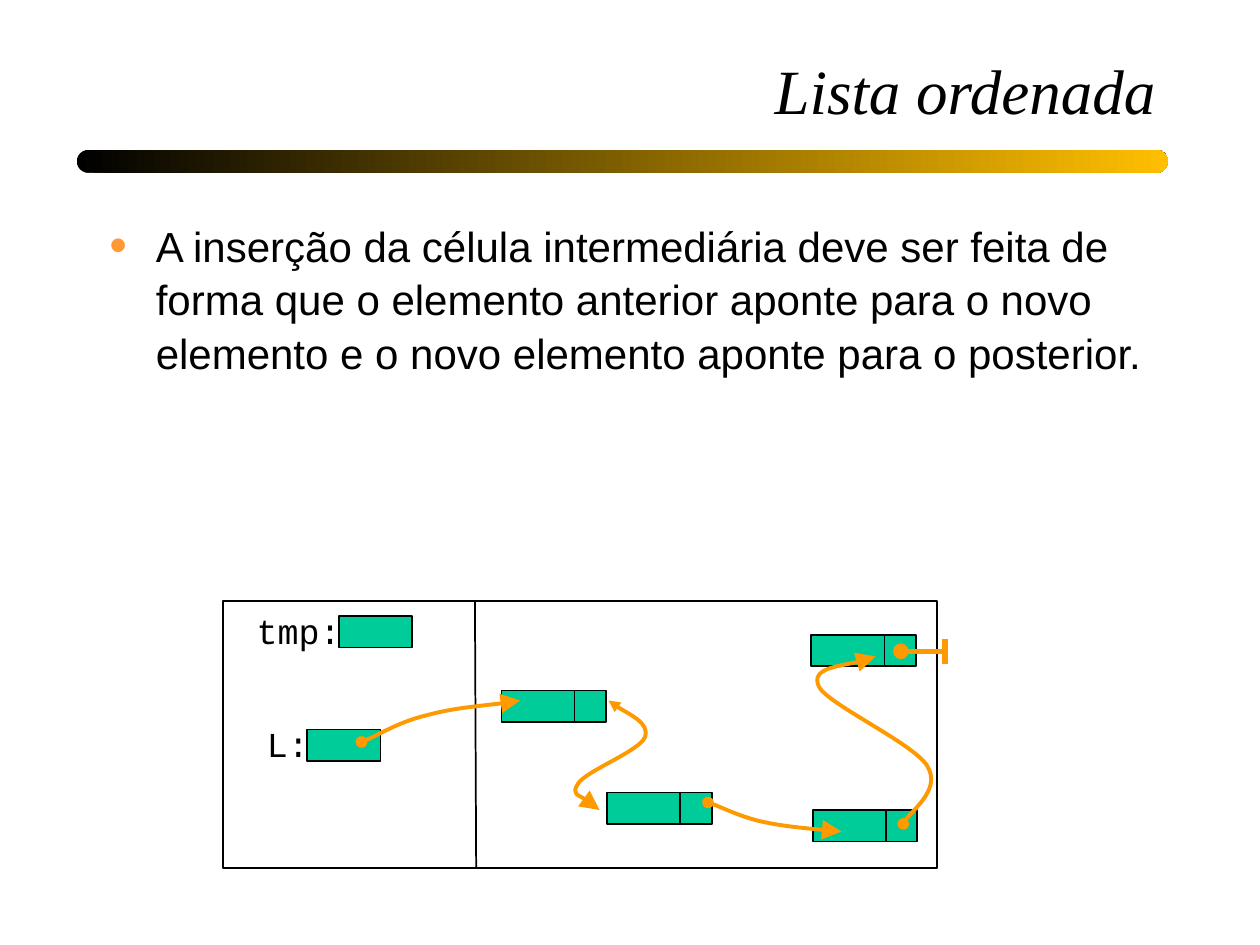
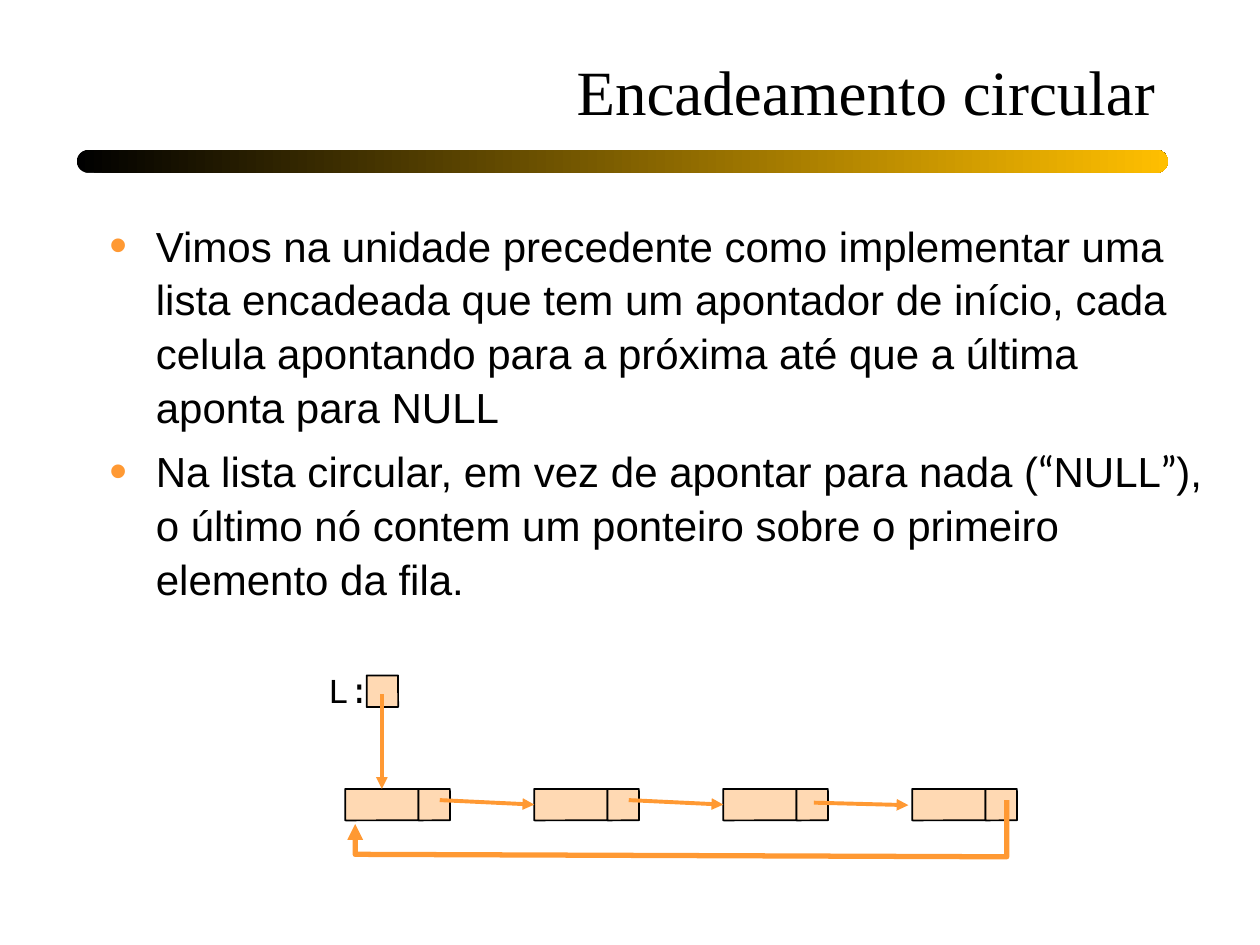
from lxml.etree import SubElement as Sub
from pptx import Presentation
from pptx.dml.color import RGBColor as RGB
from pptx.enum.shapes import MSO_CONNECTOR as Link, MSO_SHAPE as Kind
from pptx.enum.text import MSO_ANCHOR as Anchor, PP_ALIGN as Align
from pptx.oxml.ns import qn
from pptx.util import Pt

BLACK, GOLD, GREEN, PEACH = "000000", "FFBF00", "00CC99", "FFD9B3"
AMBER, ORANGE = "FF9900", "FF9933"
SERIF, SANS, MONO, QUOTE = "Times New Roman", "Arial", "Courier New", "Lato"
DATA, NEXT, TALL = 41.8, 18, 18  # widths of a node's two cells, and its height


def tint(code):
    return RGB.from_string(code)


# Text
def add_text(slide, box, wrap=True, anchor=Anchor.TOP):
    frame = slide.shapes.add_textbox(*map(Pt, box)).text_frame
    frame.word_wrap = wrap
    frame.vertical_anchor = anchor
    return frame


def add_run(para, text, face, size, slant=None):
    run = para.add_run()
    run.text = text
    font = run.font
    font.name, font.size, font.italic = face, Pt(size), slant
    font.color.rgb = tint(BLACK)


def add_bullet(para):
    props = para._p.get_or_add_pPr()
    props.set("marL", str(Pt(26.6)))
    props.set("indent", str(-Pt(26.6)))
    hue = Sub(props, qn("a:buClr"))
    Sub(hue, qn("a:srgbClr"), val=ORANGE)
    Sub(props, qn("a:buSzPct"), val="120000")
    Sub(props, qn("a:buFont"), typeface=SANS)
    Sub(props, qn("a:buChar"), char="•")


def add_label(slide, box, text, align=Align.LEFT, anchor=Anchor.TOP):
    para = add_text(slide, box, False, anchor).paragraphs[0]
    para.alignment = align
    add_run(para, text, MONO, 20)


# Shapes and lines
def add_cell(slide, box, fill, kind=Kind.RECTANGLE):
    cell = slide.shapes.add_shape(kind, *map(Pt, box))
    cell.shadow.inherit = False
    if kind == Kind.ROUNDED_RECTANGLE:
        cell.adjustments[0] = 0.01
    if fill:
        cell.fill.solid()
        cell.fill.fore_color.rgb = tint(fill)
    else:
        cell.fill.background()
    cell.line.color.rgb = tint(BLACK)
    cell.line.width = Pt(1)
    return cell


def add_node(slide, x, y, fill, kind=Kind.RECTANGLE):
    data = add_cell(slide, (x, y, DATA, TALL), fill, kind)
    add_cell(slide, (x + DATA, y, NEXT, TALL), fill, kind)
    return data


def set_line(shape, color, width, head=None, tail=None, size="med"):
    shape.line.color.rgb = tint(color)
    shape.line.width = Pt(width)
    stroke = next(shape.element.iter(qn("a:ln")))
    if head:
        Sub(stroke, qn("a:headEnd"), type=head)
    if tail:
        Sub(stroke, qn("a:tailEnd"), type=tail, w=size, len=size)


def add_link(slide, start, end, color, width, head=None, tail=None):
    link = slide.shapes.add_connector(Link.STRAIGHT, *map(Pt, start + end))
    set_line(link, color, width, head, tail)
    Sub(link.element.spPr, qn("a:effectLst"))
    return link


def add_trail(slide, points):
    spots = [(Pt(x), Pt(y)) for x, y in points]
    maker = slide.shapes.build_freeform(*spots[0])
    maker.add_line_segments(spots[1:], close=False)
    trail = maker.convert_to_shape()
    trail.shadow.inherit = False
    trail.fill.background()
    return trail


def add_curve(slide, points, head):
    curve = add_trail(slide, points)
    # Every three segments become one cubic curve
    route = next(curve.element.iter(qn("a:path")))
    steps = route.findall(qn("a:lnTo"))
    for i in range(0, len(steps), 3):
        bend = Sub(route, qn("a:cubicBezTo"))
        for step in steps[i:i + 3]:
            bend.append(step[0])
            route.remove(step)
    set_line(curve, AMBER, 2.25, head, "triangle", "lg")


# Regions
def draw_title(slide, box, text, slant=None):
    para = add_text(slide, box, anchor=Anchor.BOTTOM).paragraphs[0]
    para.alignment = Align.RIGHT
    para.line_spacing = 1.02
    add_run(para, text, SERIF, 36, slant)


def draw_band(slide, box):
    band = slide.shapes.add_shape(Kind.ROUNDED_RECTANGLE, *map(Pt, box))
    band.shadow.inherit = False
    band.adjustments[0] = 0.5
    band.line.fill.background()
    band.fill.gradient()
    band.fill.gradient_angle = 0
    for stop, code in zip(band.fill.gradient_stops, (BLACK, GOLD)):
        stop.color.rgb = tint(code)


def draw_body(slide, box, items):
    frame = add_text(slide, box)
    for i, runs in enumerate(items):
        para = frame.add_paragraph() if i else frame.paragraphs[0]
        para.line_spacing = 1.07
        if i:
            para.space_before = Pt(5.6)
        add_bullet(para)
        for text, face in runs:
            add_run(para, text, face, 24)


def draw_memory(slide, box):
    left, top, wide, high = box

    def at(x, y):
        return left + x, top + y

    # Frame with variables on the left and nodes on the right
    add_cell(slide, box, None)
    add_link(slide, at(144, 0), at(144.7, high), BLACK, 1)
    for text, x, y, width, gap in (("tmp:", 12.2, 1.4, 62.6, 54),
                                   ("L:", 18, 66.2, 38.2, 30.2)):
        add_label(slide, (*at(x, y), width, 31.7), text)
        add_cell(slide, (*at(x + gap, y + 7.2), DATA, TALL), GREEN)
    for x, y in ((159.1, 51.1), (219.6, 109.4), (336.2, 19.4), (337, 119.5)):
        add_node(slide, *at(x, y), GREEN)

    # End of the list
    add_link(slide, at(387.4, 28.8), at(413.3, 28.8), AMBER, 3, "oval")
    add_link(slide, at(412.6, 21.6), at(412.6, 36), AMBER, 3)

    # Pointers: start, then two controls and an end for each bend
    first = [(79.2, 80.6), (85.7, 78.5), (100.8, 69.1), (115.9, 65.5),
             (131, 61.2), (159.1, 59), (169.9, 56.9)]
    second = [(220.3, 56.9), (223.9, 60.5), (244.1, 69.8), (241.2, 77.8),
              (238.3, 85.7), (207.4, 97.2), (203, 104.4),
              (198.7, 110.9), (212.4, 115.9), (215.3, 119.5)]
    third = [(277.2, 115.2), (282.2, 116.6), (295.2, 123.1), (307.4, 126),
             (320.4, 128.9), (344.2, 131), (353.5, 131.8)]
    fourth = [(388.8, 127.4), (391, 121.7), (410.4, 107.3), (402.5, 94.3),
              (394.6, 81.4), (345.6, 59), (340.6, 49),
              (335.5, 38.2), (366.5, 35.3), (373, 31.7)]
    for points, head in ((first, "oval"), (second, "triangle"),
                         (third, "oval"), (fourth, "oval")):
        add_curve(slide, [at(*point) for point in points], head)


def draw_ring(slide, box):
    left, top, wide, high = box
    kind = Kind.ROUNDED_RECTANGLE
    pitch, row = 108, 70.6

    def at(x, y):
        return left + x, top + y

    # List variable and nodes
    add_label(slide, (*at(0, 0), 38.9, 28.1), "L:", Align.CENTER,
              Anchor.MIDDLE)
    add_cell(slide, (*at(29.5, 5.8), NEXT, TALL), PEACH, kind)
    nodes = [add_node(slide, *at(17.3 + pitch * i, row), PEACH, kind)
             for i in range(4)]

    # Pointers that meet a node are joined to it
    entry = add_link(slide, at(38.2, 16.6), at(38.2, row), ORANGE, 2.25,
                     tail="triangle")
    entry.end_connect(nodes[0], 0)
    for i in range(2):
        x = 71.3 + pitch * i
        link = add_link(slide, at(x, 77), at(x + 54, 79.6), ORANGE, 2.25,
                        tail="triangle")
        link.end_connect(nodes[i + 1], 1)
    add_link(slide, at(285.1, 78.5), at(339.1, 79.9), ORANGE, 2.25,
             tail="triangle")

    # Way back to the first node
    back = add_trail(slide, [at(395.3, 77), at(395.3, high), at(23, 108),
                             at(23, 90.7)])
    set_line(back, ORANGE, 3, tail="triangle")


def add_page(deck, title, box, slant, body, items):
    slide = deck.slides.add_slide(deck.slide_layouts[6])
    draw_band(slide, (43.9, 85.7, 623.5, 13))
    draw_title(slide, box, title, slant)
    draw_body(slide, body, items)
    return slide


def main():
    deck = Presentation()
    deck.slide_width, deck.slide_height = Pt(720), Pt(540)

    order = add_page(
        deck, "Lista ordenada", (55.4, -10, 612, 86.4), True,
        (55.4, 120.2, 612, 378),
        [[("A inserção da célula intermediária deve ser feita de forma que o "
           "elemento anterior aponte para o novo elemento e o novo elemento "
           "aponte para o posterior.", SANS)]])
    draw_memory(order, (127.4, 343.4, 408.2, 152.6))

    ring = add_page(
        deck, "Encadeamento circular", (55.4, 10.8, 612, 66.2), None,
        (55.4, 120.2, 646.6, 378),
        [[("Vimos na unidade precedente como implementar uma lista encadeada "
           "que tem um apontador de início, cada celula apontando para a "
           "próxima até que a última aponta para NULL", SANS)],
         [("Na lista circular, em vez de apontar para nada (", SANS),
          ("“", QUOTE), ("NULL", SANS), ("”", QUOTE),
          ("), o último nó contem um ponteiro sobre o primeiro elemento da "
           "fila.", SANS)]])
    draw_ring(ring, (180, 380.2, 401, 109.4))

    deck.save("out.pptx")


if __name__ == "__main__":
    main()
